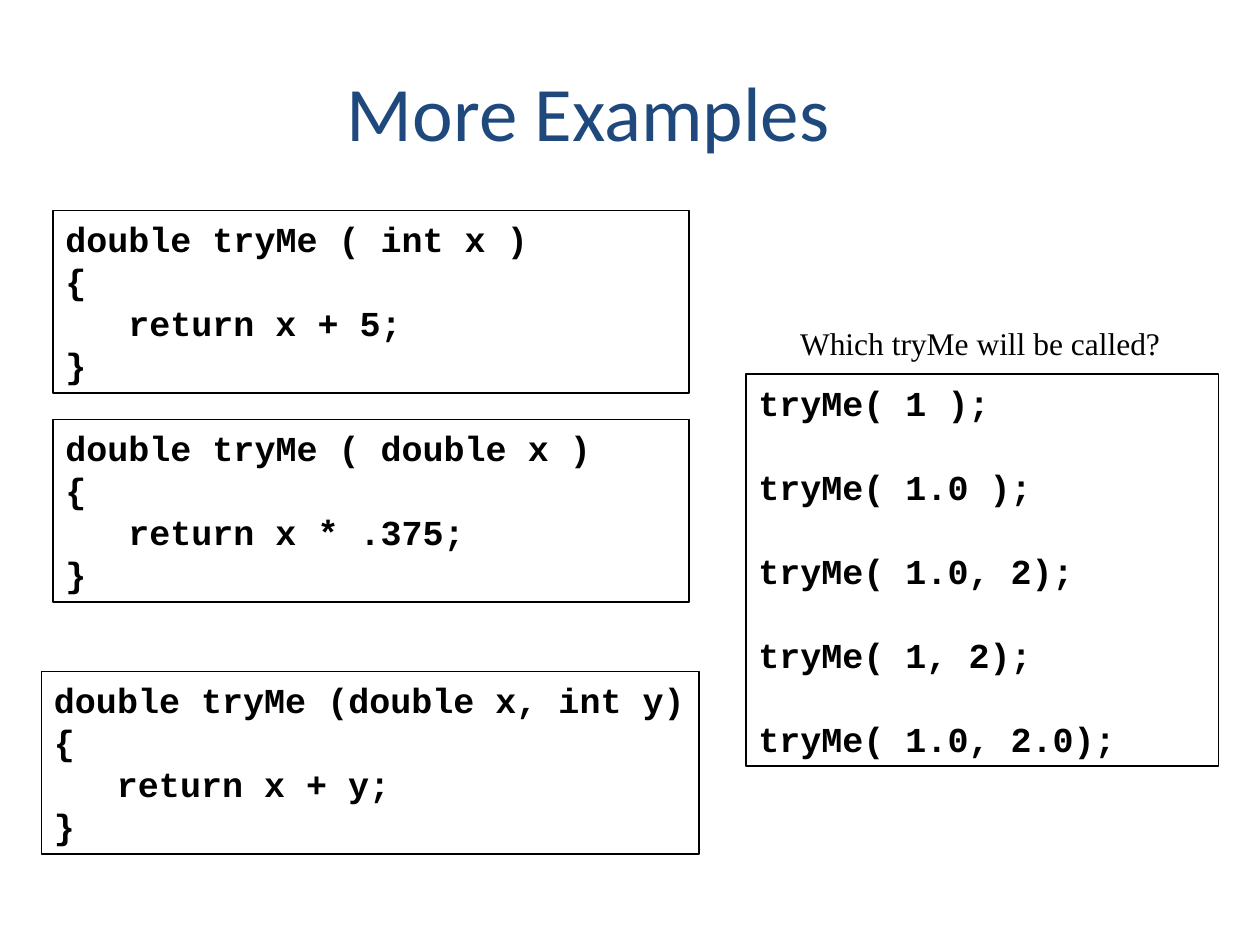
import pptx
import pptx.dml.color
import pptx.enum.shapes
import pptx.enum.text
import pptx.util

Inches = pptx.util.Inches
Pt = pptx.util.Pt
BLACK = pptx.dml.color.RGBColor(0x00, 0x00, 0x00)
NAVY = pptx.dml.color.RGBColor(0x1F, 0x49, 0x7D)
LINE_PITCH = Pt(24)
INDENT = Inches(0.5)

FUNCTIONS = [
    ((0.42, 1.67, 5.05, 1.45), "double tryMe ( int x )", "return x + 5;"),
    ((0.42, 3.33, 5.05, 1.45), "double tryMe ( double x )", "return x * .375;"),
    ((0.33, 5.33, 5.22, 1.45), "double tryMe (double x, int y)", "return x + y;"),
]
CALLS = ["tryMe( 1 );", "tryMe( 1.0 );", "tryMe( 1.0, 2);", "tryMe( 1, 2);", "tryMe( 1.0, 2.0);"]


def to_lengths(box):
    return [Inches(value) for value in box]


def add_run(paragraph, text, size, font_name, color, bold=False):
    run = paragraph.add_run()
    run.text = text
    run.font.size = Pt(size)
    run.font.name = font_name
    run.font.bold = bold
    run.font.color.rgb = color


def add_title(slide, box, text):
    title = slide.shapes.title
    title.left, title.top, title.width, title.height = to_lengths(box)
    title.text_frame.vertical_anchor = pptx.enum.text.MSO_ANCHOR.MIDDLE
    paragraph = title.text_frame.paragraphs[0]
    paragraph.alignment = pptx.enum.text.PP_ALIGN.CENTER
    add_run(paragraph, text, 44, "Calibri", NAVY)


def add_code_box(slide, box, lines, gap=0):
    shape = slide.shapes.add_shape(pptx.enum.shapes.MSO_SHAPE.RECTANGLE, *to_lengths(box))
    shape.shadow.inherit = False
    shape.fill.background()
    shape.line.color.rgb = BLACK
    shape.line.width = Pt(1)
    frame = shape.text_frame
    frame.word_wrap = True
    frame.vertical_anchor = pptx.enum.text.MSO_ANCHOR.MIDDLE
    for index, (text, indent) in enumerate(lines):
        paragraph = frame.add_paragraph() if index else frame.paragraphs[0]
        paragraph.alignment = pptx.enum.text.PP_ALIGN.LEFT
        paragraph.line_spacing = LINE_PITCH
        paragraph.space_before = gap if index else 0
        if indent:
            paragraph._p.get_or_add_pPr().set("marL", str(indent))
        add_run(paragraph, text, 20, "Courier New", BLACK, bold=True)


def add_function(slide, box, signature, statement):
    add_code_box(slide, box, [(signature, 0), ("{", 0), (statement, INDENT), ("}", 0)])


def add_question(slide, box, text):
    frame = slide.shapes.add_textbox(*to_lengths(box)).text_frame
    frame.word_wrap = True
    paragraph = frame.paragraphs[0]
    paragraph.alignment = pptx.enum.text.PP_ALIGN.CENTER
    add_run(paragraph, text, 18, "Times New Roman", BLACK)


def main():
    presentation = pptx.Presentation()
    presentation.slide_width, presentation.slide_height = to_lengths((10, 7.5))
    slide = presentation.slides.add_slide(presentation.slide_layouts.get_by_name("Title Only"))
    add_title(slide, (0.42, 0.25, 8.5, 1.25), "More Examples")
    for box, signature, statement in FUNCTIONS:
        add_function(slide, box, signature, statement)
    add_code_box(slide, (5.92, 2.97, 3.75, 3.11), [(call, 0) for call in CALLS], LINE_PITCH)
    add_question(slide, (6.25, 2.52, 3.06, 0.4), "Which tryMe will be called?")
    presentation.save("out.pptx")


if __name__ == "__main__":
    main()
